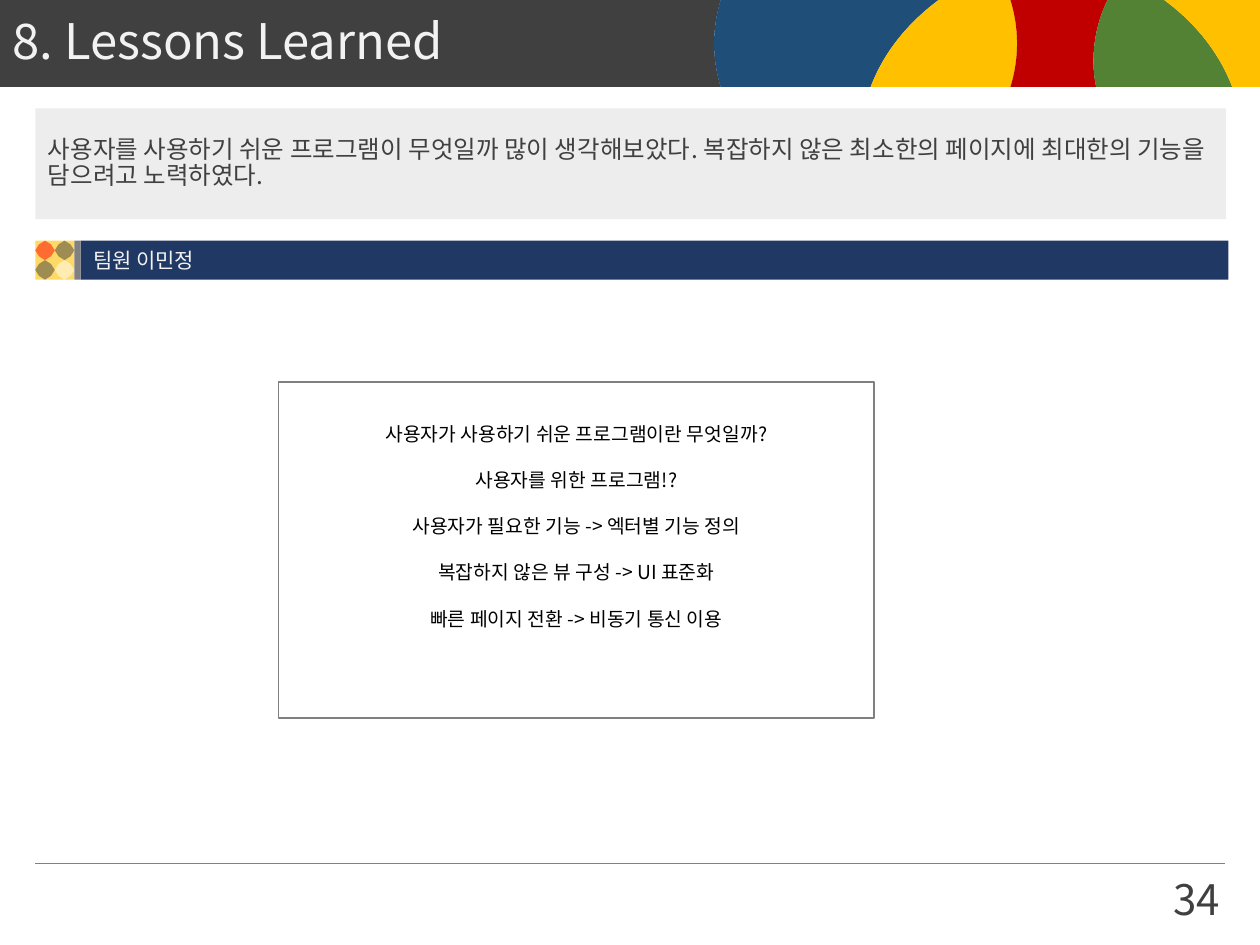
from lxml import etree
from pptx import Presentation
from pptx.dml.color import RGBColor
from pptx.enum.shapes import MSO_CONNECTOR, MSO_SHAPE
from pptx.enum.text import MSO_ANCHOR, MSO_AUTO_SIZE, PP_ALIGN
from pptx.oxml.ns import qn
from pptx.util import Inches, Pt

# Content
TITLE = "8. Lessons Learned"
SUMMARY = ("사용자를 사용하기 쉬운 프로그램이 무엇일까 많이 생각해보았다. "
           "복잡하지 않은 최소한의 페이지에 최대한의 기능을 담으려고 노력하였다.")
MEMBER = "팀원 이민정"
LESSONS = [
    "사용자가 사용하기 쉬운 프로그램이란 무엇일까?",
    "사용자를 위한 프로그램!?",
    "사용자가 필요한 기능 -> 엑터별 기능 정의",
    "복잡하지 않은 뷰 구성 -> UI 표준화",
    "빠른 페이지 전환 -> 비동기 통신 이용",
]
PAGE = "34"

FONT = "Noto Sans CJK KR"
COLORS = {
    "dark": "404040", "blue": "1F4E79", "yellow": "FFC000", "red": "C00000",
    "green": "548235", "gray": "808080", "panel": "EDEDED", "light": "F2F2F2",
    "navy": "203864", "tile": "FFD966", "petal_red": "FF0000",
    "white": "FFFFFF", "black": "000000",
}

# Header bands lie between neighbouring edges: straight (2 points) or cubic (4 points)
HEADER_H = 0.69
EDGES = [
    [(0, 0), (0, HEADER_H)],
    [(5.72, 0), (5.65, 0.23), (5.65, 0.46), (5.72, HEADER_H)],
    [(7.45, 0), (7.22, 0.17), (7.02, 0.4), (6.91, HEADER_H)],
    [(8.02, 0), (8.09, 0.23), (8.09, 0.46), (8.02, HEADER_H)],
    [(8.79, 0), (8.69, 0.2), (8.65, 0.46), (8.7, HEADER_H)],
    [(9.24, 0), (9.47, 0.17), (9.67, 0.4), (9.78, HEADER_H)],
    [(10, 0), (10, HEADER_H)],
]
BANDS = ["dark", "blue", "yellow", "red", "green", "yellow"]
PETALS = ["petal_red", "dark", "dark", "white"]
LEFT, BAR_Y, TILE = 0.28, 1.91, 0.31
PANEL = (LEFT, 0.86, 9.45, 0.88)

prs = Presentation()
prs.slide_width, prs.slide_height = Inches(10), Inches(7.5)
slide = prs.slides.add_slide(prs.slide_layouts[1])
shapes = slide.shapes


def rgb(name):
    return RGBColor.from_string(COLORS[name])


def paint(shape, fill, alpha=None):
    shape.shadow.inherit = False
    shape.line.fill.background()
    shape.fill.solid()
    shape.fill.fore_color.rgb = rgb(fill)
    if alpha:
        color = shape.fill._xPr.find(".//" + qn("a:srgbClr"))
        etree.SubElement(color, qn("a:alpha"), val=str(alpha * 1000))
    return shape


def add_block(box, fill, kind=MSO_SHAPE.RECTANGLE, alpha=None):
    return paint(shapes.add_shape(kind, *map(Inches, box)), fill, alpha)


def write(shape, lines, size, color, frame=None, **paragraph_format):
    text = shape.text_frame
    frame_format = {"word_wrap": True, "auto_size": MSO_AUTO_SIZE.NONE,
                    "vertical_anchor": MSO_ANCHOR.MIDDLE, **(frame or {})}
    for key, value in frame_format.items():
        setattr(text, key, value)
    text.text = "\n".join(lines)
    values = {"alignment": PP_ALIGN.LEFT, "space_before": Pt(0), **paragraph_format}
    for paragraph in text.paragraphs:
        for key, value in values.items():
            setattr(paragraph, key, value)
        font = paragraph.runs[0].font
        font.name, font.size = FONT, Pt(size)
        font.color.rgb = rgb(color)


def place(placeholder, box):
    for key, value in zip(("left", "top", "width", "height"), box):
        setattr(placeholder, key, Inches(value))
    shapes._spTree.append(placeholder._element)  # bring above the backgrounds
    return placeholder


def bend(lines):
    """Turn three line segments into one cubic segment through their points."""
    cubic = etree.Element(qn("a:cubicBezTo"))
    lines[0].addprevious(cubic)
    for line in lines:
        cubic.append(line[0])
        line.getparent().remove(line)


def add_band(left_edge, right_edge, color):
    outline = left_edge + right_edge[::-1]
    builder = shapes.build_freeform(*(v * 1000 for v in outline[0]), scale=Inches(1) / 1000)
    builder.add_line_segments([(x * 1000, y * 1000) for x, y in outline[1:]], close=True)
    band = paint(builder.convert_to_shape(), color)
    lines = list(band._element.iter(qn("a:lnTo")))
    if len(left_edge) == 4:
        bend(lines[:3])
    if len(right_edge) == 4:
        first = len(left_edge)
        bend(lines[first:first + 3])


# Header
for left_edge, right_edge, color in zip(EDGES, EDGES[1:], BANDS):
    add_band(left_edge, right_edge, color)

# Footer
page_number = shapes.add_textbox(*map(Inches, (8.87, 6.88, 0.91, 0.5)))
write(page_number, [PAGE], 24, "dark", {"vertical_anchor": MSO_ANCHOR.TOP},
      alignment=PP_ALIGN.RIGHT)
rule = shapes.add_connector(MSO_CONNECTOR.STRAIGHT, *map(Inches, (LEFT, 6.85, 9.72, 6.85)))
rule.line.color.rgb, rule.line.width = rgb("gray"), Pt(0.5)
etree.SubElement(rule._element.spPr, qn("a:effectLst"))

# Title and summary
add_block(PANEL, "panel")
title, summary = slide.placeholders
write(place(title, (0, 0, 10, HEADER_H)), [TITLE], 28, "light", line_spacing=0.9)
write(place(summary, PANEL), [SUMMARY], 14, "dark", line_spacing=0.9, space_after=Pt(6))
summary_format = summary.text_frame.paragraphs[0]._p.get_or_add_pPr()
summary_format.set("marL", "0")
summary_format.set("indent", "0")
etree.SubElement(summary_format, qn("a:buNone"))

# Member bar with its petal tile
add_block((LEFT, BAR_Y, TILE, TILE), "tile")
for i, color in enumerate(PETALS):
    row, column = divmod(i, 2)
    petal = add_block((LEFT + column * TILE / 2, BAR_Y + row * TILE / 2, TILE / 2, TILE / 2),
                      color, MSO_SHAPE.STAR_4_POINT, alpha=50)
    petal.adjustments[0] = 0.432
member_bar = add_block((0.64, BAR_Y, 9.11, TILE), "navy")
write(member_bar, [MEMBER], 12, "light")
add_block((LEFT + TILE, BAR_Y, 0.05, TILE), "gray")

# Lessons
lessons = add_block((2.21, 3.03, 4.73, 2.67), "white")
lessons.fill.background()
lessons.line.color.rgb, lessons.line.width = rgb("gray"), Pt(1)
write(lessons, LESSONS, 11, "black",
      {"vertical_anchor": MSO_ANCHOR.TOP, "margin_top": Inches(0.32)},
      alignment=PP_ALIGN.CENTER, space_after=Pt(13.2))

prs.save("out.pptx")
